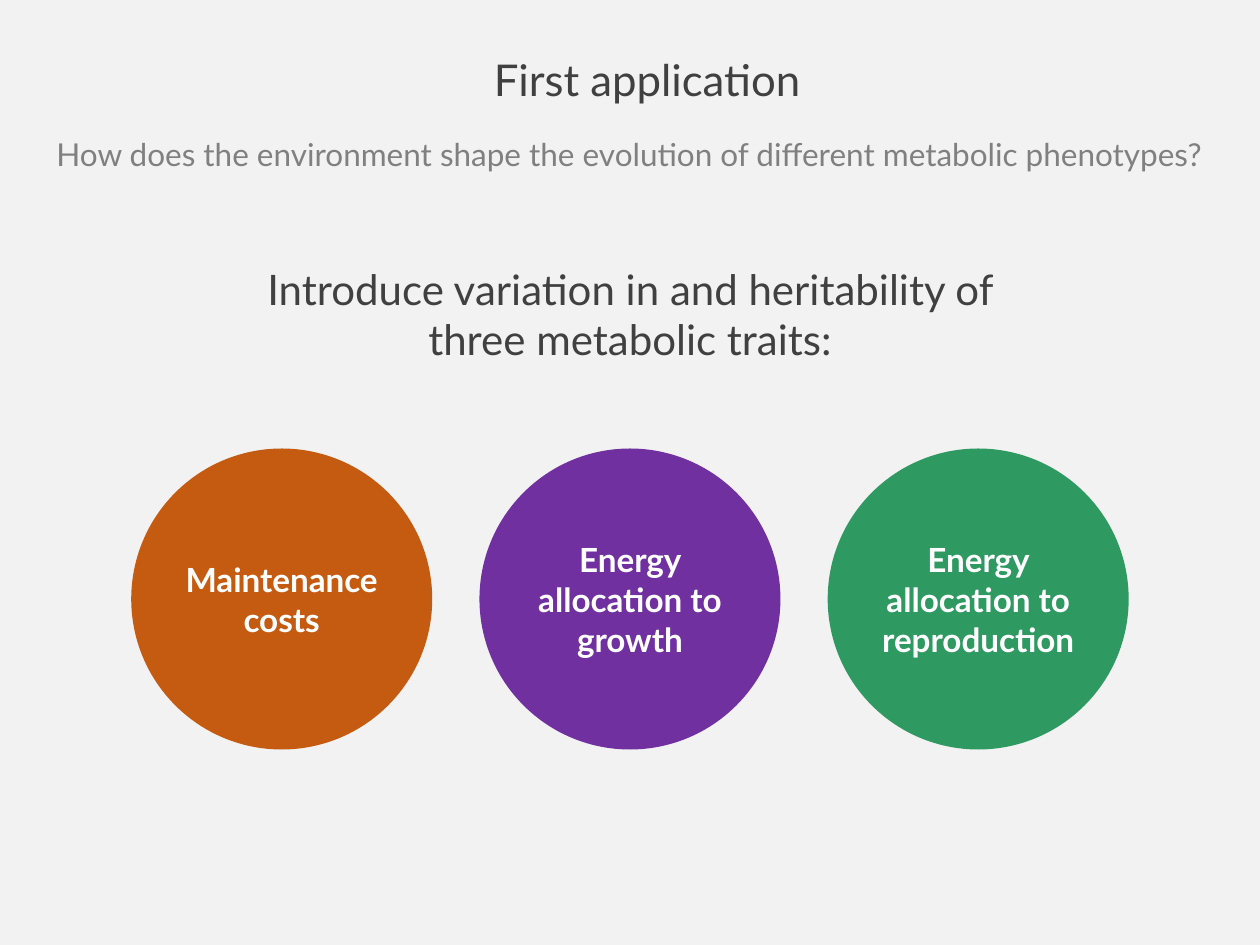
from pptx import Presentation
from pptx.dml.color import RGBColor
from pptx.enum.shapes import MSO_SHAPE
from pptx.enum.text import MSO_ANCHOR, PP_ALIGN
from pptx.util import Pt

OVAL = MSO_SHAPE.OVAL
TOP, MIDDLE = MSO_ANCHOR.TOP, MSO_ANCHOR.MIDDLE
CENTER = PP_ALIGN.CENTER

DARK, GREY, WHITE, BACKGROUND = "404040", "808080", "FFFFFF", "F2F2F2"
TRAITS = [
    ("Maintenance costs", "C55A11"),
    ("Energy allocation to growth", "7030A0"),
    ("Energy allocation to reproduction", "2F9962"),
]
CIRCLE_LEFT, CIRCLE_TOP, CIRCLE_SIZE, CIRCLE_PITCH = 75, 256.3, 172, 199


def paint(fill, color):
    """Give a fill one solid colour from a hex string."""
    fill.solid()
    fill.fore_color.rgb = RGBColor.from_string(color)


def write_text(shape, text, size, color, bold=False, spacing=None, **frame_format):
    """Write one centred, wrapped paragraph into a shape."""
    frame = shape.text_frame
    frame.word_wrap = True
    for name, value in frame_format.items():
        setattr(frame, name, value)
    para = frame.paragraphs[0]
    para.alignment = CENTER
    para.line_spacing = spacing
    span = para.add_run()
    span.text = text
    font_format = {"name": "Lato", "size": Pt(size), "bold": bold}
    for name, value in font_format.items():
        setattr(span.font, name, value)
    paint(span.font.fill, color)


def add_title(page, text):
    """Place and format the title placeholder."""
    title = page.shapes.title
    place = {"left": 112.3, "top": 30.2, "width": 514.8, "height": 40.3}
    for name, value in place.items():
        setattr(title, name, Pt(value))
    write_text(title, text, 25, DARK, spacing=0.9, vertical_anchor=TOP)


def add_text(page, text, place, size, color):
    """Add a centred text box at left, top, width and height."""
    box = page.shapes.add_textbox(*map(Pt, place))
    write_text(box, text, size, color)


def add_circle(page, text, left, color):
    """Add a filled circle with a bold white label."""
    circle = page.shapes.add_shape(
        OVAL, Pt(left), Pt(CIRCLE_TOP), Pt(CIRCLE_SIZE), Pt(CIRCLE_SIZE))
    circle.shadow.inherit = False
    circle.line.fill.background()
    paint(circle.fill, color)
    margins = {f"margin_{side}": 0 for side in ("left", "top", "right", "bottom")}
    write_text(circle, text, 19, WHITE, bold=True, vertical_anchor=MIDDLE, **margins)


def main():
    """Build the slide and save the deck."""
    deck = Presentation()
    deck.slide_width, deck.slide_height = Pt(720), Pt(540)
    page = deck.slides.add_slide(deck.slide_layouts.get_by_name("Title Only"))
    paint(page.background.fill, BACKGROUND)
    add_title(page, "First application")
    add_text(page, "How does the environment shape the evolution of different "
             "metabolic phenotypes?", (7.2, 73.4, 705, 29), 18, GREY)
    add_text(page, "Introduce variation in and heritability of three metabolic traits:",
             (129.6, 146.9, 460.8, 65.5), 24, DARK)
    for index, (text, color) in enumerate(TRAITS):
        add_circle(page, text, CIRCLE_LEFT + index * CIRCLE_PITCH, color)
    deck.save("out.pptx")


if __name__ == "__main__":
    main()
